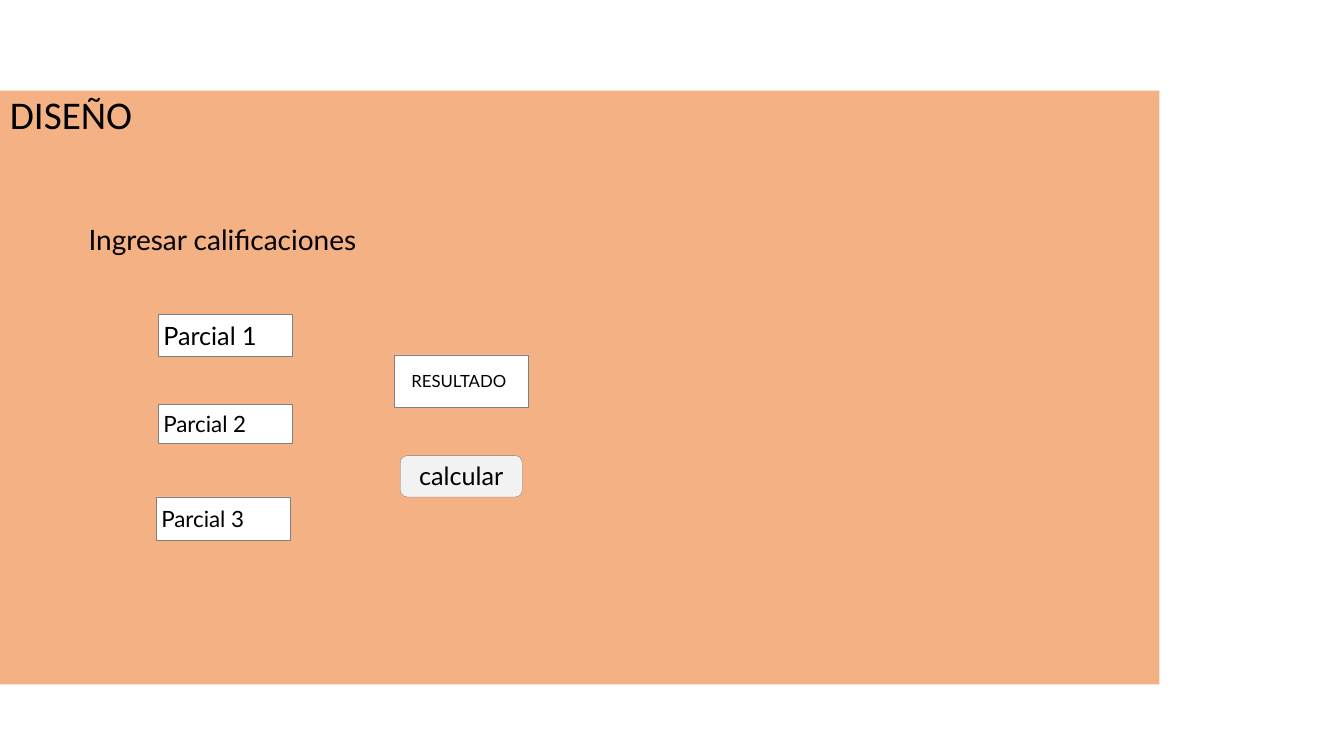
"""Build the slide with the grade calculator form design."""
from dataclasses import dataclass

from pptx import Presentation
from pptx.dml.color import RGBColor
from pptx.enum.shapes import MSO_SHAPE as Shape
from pptx.enum.text import MSO_ANCHOR as Anchor, MSO_AUTO_SIZE as AutoSize, PP_ALIGN as Align
from pptx.slide import Slide
from pptx.util import Inches, Pt


@dataclass(frozen=True)
class Theme:
    """Colours, fonts and type sizes of the slide."""
    panel: RGBColor = RGBColor(0xF4, 0xB1, 0x83)
    field: RGBColor = RGBColor(0xFF, 0xFF, 0xFF)
    button: RGBColor = RGBColor(0xF2, 0xF2, 0xF2)
    border: RGBColor = RGBColor(0x80, 0x80, 0x80)
    text: RGBColor = RGBColor(0, 0, 0)
    title_font: str = "Calibri"
    form_font: str = "Lato"
    title: int = 28
    heading: int = 20
    large: int = 18
    medium: int = 16
    small: int = 12
    border_width: float = 0.25


THEME = Theme()


@dataclass(frozen=True)
class Block:
    """A box with one line of text, measured in inches."""
    text: str
    left: float
    top: float
    width: float
    height: float
    size: int
    fill: RGBColor | None = THEME.field
    bordered: bool = True
    shape: Shape = Shape.RECTANGLE
    font: str = THEME.form_font
    align: Align = Align.LEFT
    anchor: Anchor = Anchor.MIDDLE
    insets: tuple[float, float, float, float] = (0.05, 0.02, 0.05, 0.02)
    wrap: bool = False
    line_spacing: float = 1.0
    space_before: int = 0


BLOCKS = (
    Block("DISEÑO", 0, 0.9, 11.5, 5.89, THEME.title, THEME.panel, bordered=False,
          font=THEME.title_font, anchor=Anchor.TOP, insets=(0.1, 0.05, 0.1, 0.05),
          wrap=True, line_spacing=0.9, space_before=10),
    Block("Parcial 1", 1.57, 3.12, 1.33, 0.41, THEME.large),
    Block("Parcial 2", 1.57, 4.01, 1.33, 0.39, THEME.medium),
    Block("Parcial 3", 1.55, 4.93, 1.33, 0.43, THEME.medium),
    Block("calcular", 3.97, 4.52, 1.21, 0.41, THEME.large, THEME.button,
          shape=Shape.ROUNDED_RECTANGLE, align=Align.CENTER,
          insets=(0.1, 0, 0.1, 0.01), wrap=True),
    Block("Ingresar calificaciones", 0.78, 2.18, 2.9, 0.39, THEME.heading, None,
          bordered=False, insets=(0.1, 0.02, 0.1, 0.03)),
    Block("RESULTADO", 3.91, 3.52, 1.33, 0.52, THEME.small,
          insets=(0.17, 0.02, 0.05, 0.02)),
)


def write_text(box, block: Block) -> None:
    """Set the frame of a box and write its text."""
    frame = box.text_frame
    frame.word_wrap = block.wrap
    frame.vertical_anchor = block.anchor
    (frame.margin_left, frame.margin_top,
     frame.margin_right, frame.margin_bottom) = map(Inches, block.insets)
    para = frame.paragraphs[0]
    para.alignment = block.align
    para.line_spacing = block.line_spacing
    para.space_before = Pt(block.space_before)
    span = para.add_run()
    span.text = block.text
    span.font.name = block.font
    span.font.size = Pt(block.size)
    span.font.color.rgb = THEME.text


def draw_block(page: Slide, block: Block) -> None:
    """Draw a filled shape, or a text box when there is no fill."""
    place = tuple(map(Inches, (block.left, block.top, block.width, block.height)))
    if block.fill is None:
        box = page.shapes.add_textbox(*place)
        box.text_frame.auto_size = AutoSize.SHAPE_TO_FIT_TEXT
    else:
        box = page.shapes.add_shape(block.shape, *place)
        box.shadow.inherit = False
        box.fill.solid()
        box.fill.fore_color.rgb = block.fill
        if block.bordered:
            box.line.color.rgb = THEME.border
            box.line.width = Pt(THEME.border_width)
        else:
            box.line.fill.background()
    write_text(box, block)


def main() -> None:
    """Create the deck and save it."""
    deck = Presentation()
    deck.slide_width, deck.slide_height = Inches(13.33), Inches(7.5)
    page = deck.slides.add_slide(deck.slide_layouts[6])
    for block in BLOCKS:
        draw_block(page, block)
    deck.save("out.pptx")


if __name__ == "__main__":
    main()
